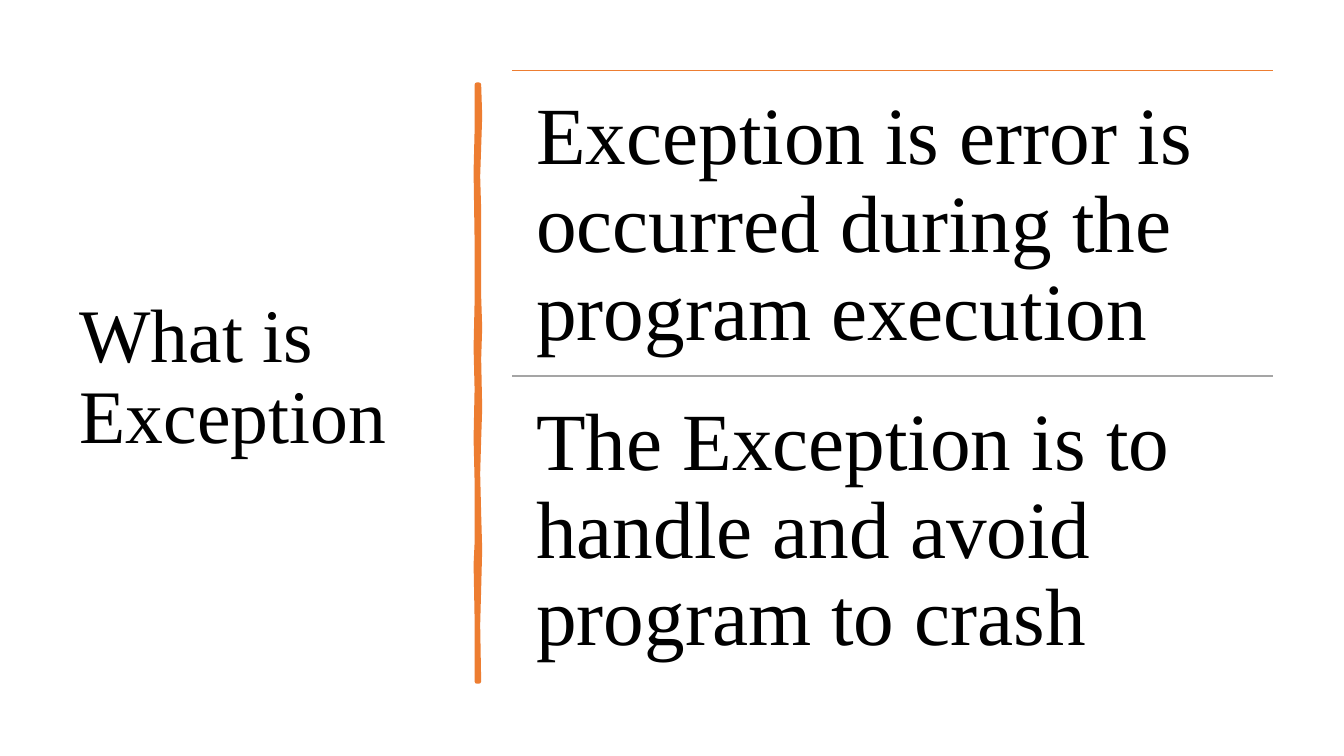
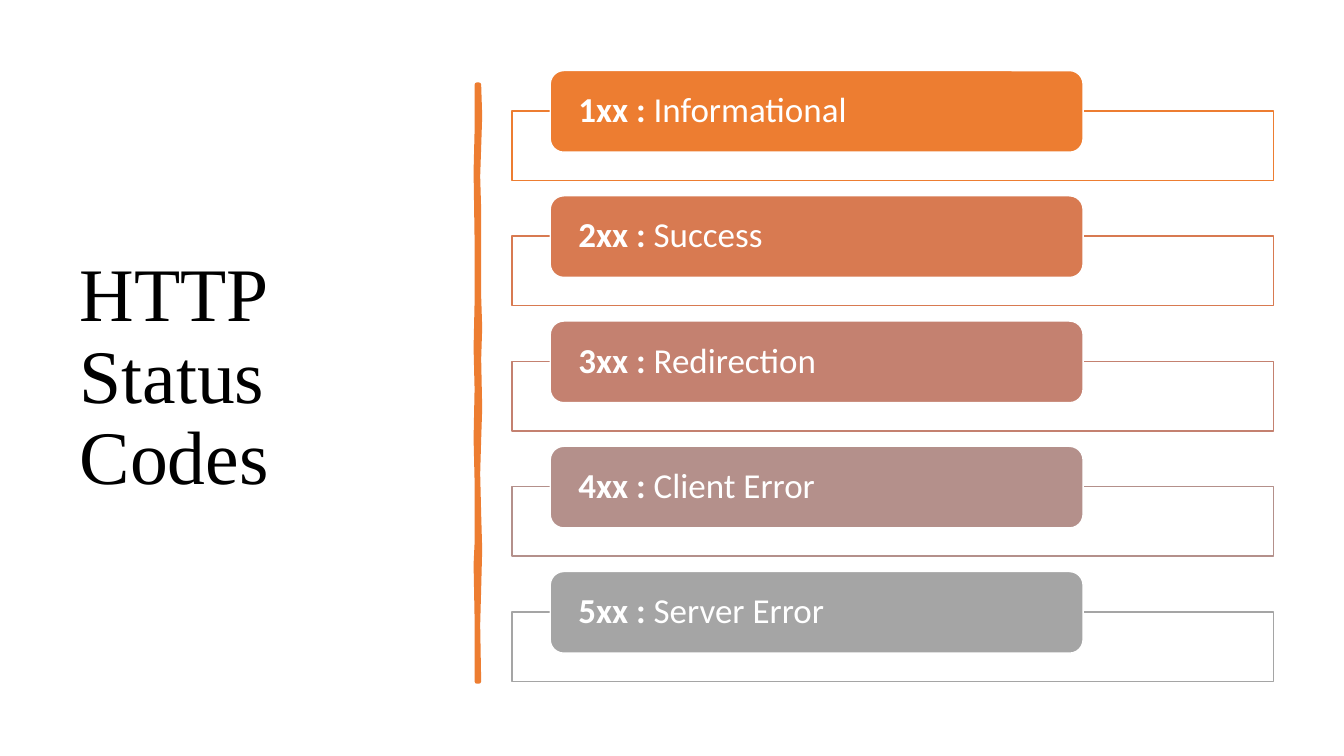
import pptx
import pptx.dml.color
import pptx.enum.shapes
import pptx.enum.text
import pptx.oxml.ns
import pptx.util
from lxml import etree

Inches = pptx.util.Inches
Pt = pptx.util.Pt
RGBColor = pptx.dml.color.RGBColor
MSO_SHAPE = pptx.enum.shapes.MSO_SHAPE
MSO_ANCHOR = pptx.enum.text.MSO_ANCHOR

ORANGE = RGBColor(0xED, 0x7D, 0x31)
COPPER = RGBColor(0xD8, 0x7A, 0x51)
ROSE = RGBColor(0xC4, 0x81, 0x70)
MAUVE = RGBColor(0xB4, 0x90, 0x8B)
GREY = RGBColor(0xA5, 0xA5, 0xA5)
BLACK = RGBColor(0, 0, 0)
WHITE = RGBColor(0xFF, 0xFF, 0xFF)

SERIF = "Times New Roman"
SANS = "Calibri"

# Boxes are left, top, width, height in inches.
TITLE_BOX = (0.69, 0.7, 3.74, 6.11)
CONTENT_BOX = (5.08, 0.7, 7.55, 6.06)

# Outline of the brush stroke in hundredths of an inch, clockwise.
STROKE_RIGHT = [(475, 84), (476, 115), (475, 146), (474, 175), (475, 208),
                (475, 294), (476, 325), (475, 356), (476, 405), (475, 436),
                (474, 470), (475, 510), (476, 545), (475, 584), (474, 620),
                (475, 676)]
STROKE_LEFT = [(473, 676), (473, 613), (472, 560), (473, 539), (473, 477),
               (472, 435), (473, 386), (472, 345), (473, 300), (473, 238),
               (472, 170), (473, 130), (473, 84)]

STATEMENTS = [
    (ORANGE, "Exception is error is occurred during the program execution"),
    (GREY, "The Exception is to handle and avoid program to crash"),
]
STATUS_CLASSES = [
    (ORANGE, "1xx : ", "Informational"),
    (COPPER, "2xx : ", "Success"),
    (ROSE, "3xx : ", "Redirection"),
    (MAUVE, "4xx : ", "Client Error"),
    (GREY, "5xx : ", "Server Error"),
]


def inches(*lengths):
    return [Inches(length) for length in lengths]


def format_frame(frame, anchor, side, top):
    """Set wrapping, anchor and insets; return the first paragraph."""
    frame.word_wrap = True
    frame.auto_size = pptx.enum.text.MSO_AUTO_SIZE.NONE
    frame.vertical_anchor = anchor
    frame.margin_left = frame.margin_right = Inches(side)
    frame.margin_top = frame.margin_bottom = Inches(top)
    paragraph = frame.paragraphs[0]
    paragraph.alignment = pptx.enum.text.PP_ALIGN.LEFT
    paragraph.line_spacing = 0.9
    return paragraph


def add_run(paragraph, text, font, size, color, bold=False):
    run = paragraph.add_run()
    run.text = text
    run.font.name = font
    run.font.size = Pt(size)
    run.font.color.rgb = color
    run.font.bold = bold


def paint(shape, fill, line, width):
    shape.shadow.inherit = False
    shape.fill.solid()
    shape.fill.fore_color.rgb = fill
    shape.line.color.rgb = line
    shape.line.width = Pt(width)


def add_brush_stroke(slide):
    outline = STROKE_RIGHT + STROKE_LEFT
    builder = slide.shapes.build_freeform(*outline[0], scale=Inches(0.01))
    builder.add_line_segments(outline[1:], close=True)
    paint(builder.convert_to_shape(), ORANGE, ORANGE, 3.25)


def add_titled_slide(deck, title_text):
    """Add a slide with the title on the left and the stroke beside it."""
    slide = deck.slides.add_slide(deck.slide_layouts[5])
    title = slide.shapes.title
    title.left, title.top, title.width, title.height = inches(*TITLE_BOX)
    paragraph = format_frame(title.text_frame, MSO_ANCHOR.MIDDLE, 0.1, 0.05)
    add_run(paragraph, title_text, SERIF, 54, BLACK)
    add_brush_stroke(slide)
    return slide


def add_rule(slide, left, top, width, color):
    rule = slide.shapes.add_connector(
        pptx.enum.shapes.MSO_CONNECTOR.STRAIGHT,
        *inches(left, top, left + width, top))
    rule.line.color.rgb = color
    rule.line.width = Pt(1)
    etree.SubElement(rule.element.spPr, pptx.oxml.ns.qn("a:effectLst"))


def add_statements(slide, box, statements):
    """Stack the statements in equal rows, each under a rule."""
    left, top, width, height = box
    row_height = height / len(statements)
    for index, (color, text) in enumerate(statements):
        row_top = top + index * row_height
        add_rule(slide, left, row_top, width, color)
        statement = slide.shapes.add_textbox(
            *inches(left, row_top, width, row_height))
        paragraph = format_frame(
            statement.text_frame, MSO_ANCHOR.TOP, 0.24, 0.24)
        add_run(paragraph, text, SERIF, 58, BLACK)


def add_status_card(slide, box, color, code, meaning):
    """Add an outlined panel with a label overlapping its top edge."""
    left, top, width, height = box
    panel_drop = 0.4
    panel = slide.shapes.add_shape(
        MSO_SHAPE.RECTANGLE,
        *inches(left, top + panel_drop, width, height - panel_drop))
    paint(panel, WHITE, color, 1)
    label = slide.shapes.add_shape(
        MSO_SHAPE.ROUNDED_RECTANGLE,
        *inches(left + 0.05 * width, top, 0.7 * width, 0.81))
    paint(label, color, WHITE, 1)
    paragraph = format_frame(label.text_frame, MSO_ANCHOR.MIDDLE, 0.24, 0)
    add_run(paragraph, code, SANS, 25, WHITE, bold=True)
    add_run(paragraph, meaning, SANS, 25, WHITE)


def add_status_cards(slide, box, status_classes):
    left, top, width, height = box
    card_height = 1.09
    pitch = (height - card_height) / (len(status_classes) - 1)
    for index, status_class in enumerate(status_classes):
        card_box = (left, top + index * pitch, width, card_height)
        add_status_card(slide, card_box, *status_class)


def main():
    deck = pptx.Presentation()
    deck.slide_width, deck.slide_height = inches(13.33, 7.5)
    exception_slide = add_titled_slide(deck, "What is Exception")
    add_statements(exception_slide, CONTENT_BOX, STATEMENTS)
    status_slide = add_titled_slide(deck, "HTTP Status Codes")
    add_status_cards(status_slide, CONTENT_BOX, STATUS_CLASSES)
    deck.save("out.pptx")


if __name__ == "__main__":
    main()
